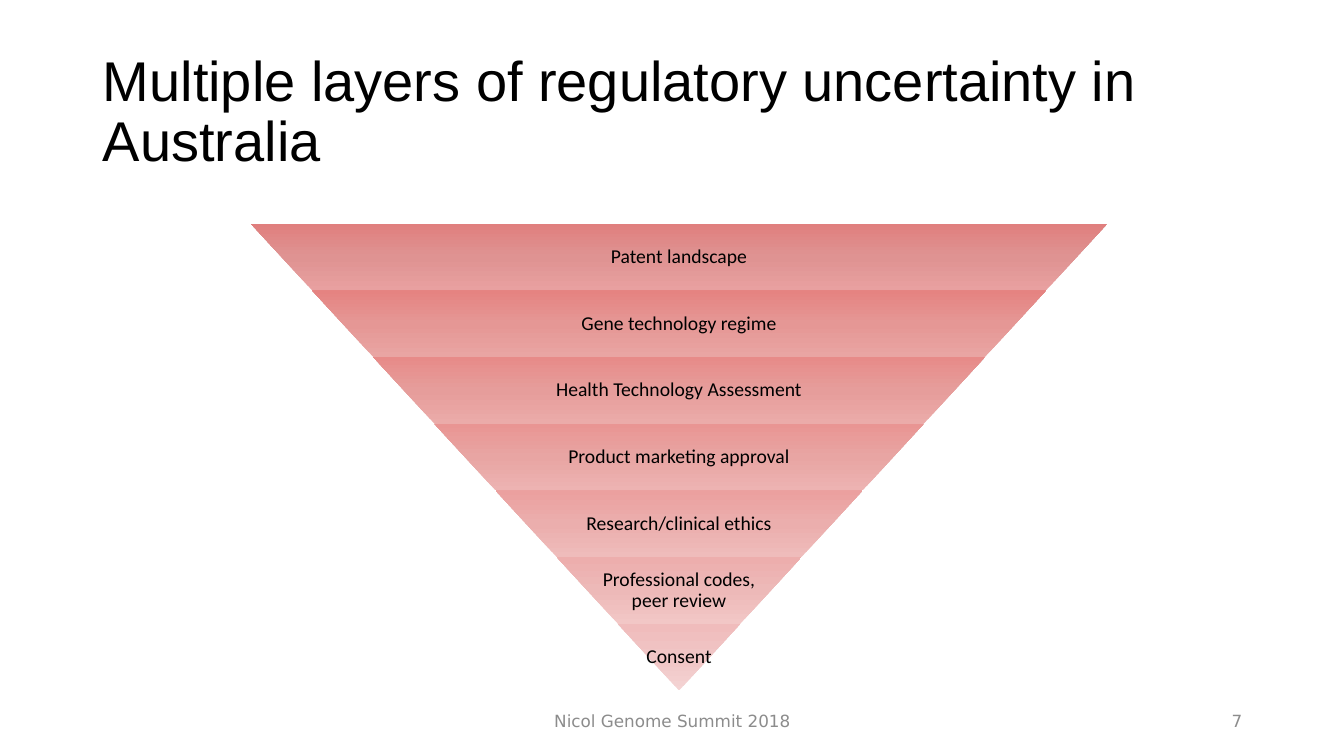
import pptx
import pptx.dml.color
import pptx.enum.shapes
import pptx.enum.text
import pptx.oxml
import pptx.oxml.ns
import pptx.util
from lxml import etree

Inches = pptx.util.Inches
Pt = pptx.util.Pt
Align = pptx.enum.text.PP_ALIGN

# label, then gradient colours from top to bottom
LAYERS = [
    ("Patent landscape", ("E8A0A0", "DF9392", "E07F7E")),
    ("Gene technology regime", ("E9A5A3", "E59795", "E58381")),
    ("Health Technology Assessment", ("EBABA9", "E69D9B", "E78B89")),
    ("Product marketing approval", ("EDB3B2", "E8A5A3", "E99593")),
    ("Research/clinical ethics", ("EFBCBB", "EBAEAD", "EBA09F")),
    ("Professional codes, peer review", ("F2C7C6", "EDB9B8", "EDAEAD")),
    ("Consent", ("F4D3D3", "F0C5C5", "F0BCBC")),
]
FUNNEL_LEFT, FUNNEL_TOP = 2.49, 2.22
FUNNEL_WIDTH, FUNNEL_HEIGHT = 8.49, 4.63


def color(hex_value):
    return pptx.dml.color.RGBColor.from_string(hex_value)


class FunnelSlide:
    label_font, title_font, footer_font = "Calibri", "Arial", "DejaVu Sans"
    ink, muted = "000000", "8C8C8C"

    def __init__(self, deck):
        self.slide = deck.slides.add_slide(deck.slide_layouts[5])
        self.funnel = None

    def add_text(self, frame, text, size, font, ink, align):
        frame.word_wrap = True
        frame.vertical_anchor = pptx.enum.text.MSO_ANCHOR.MIDDLE
        paragraph = frame.paragraphs[0]
        paragraph.alignment = align
        run = paragraph.add_run()
        run.text = text
        run.font.size = Pt(size)
        run.font.name = font
        run.font.color.rgb = color(ink)
        return paragraph

    def title(self, text, left, top, width, height):
        heading = self.slide.shapes.title
        heading.left, heading.top = Inches(left), Inches(top)
        heading.width, heading.height = Inches(width), Inches(height)
        heading.text_frame.auto_size = pptx.enum.text.MSO_AUTO_SIZE.NONE
        self.add_text(heading.text_frame, text, 40, self.title_font,
                      self.ink, Align.LEFT).line_spacing = 0.9

    def footer(self, text, left, width, align):
        box = self.slide.shapes.add_textbox(
            Inches(left), Inches(6.95), Inches(width), Inches(0.4))
        self.add_text(box.text_frame, text, 12, self.footer_font, self.muted, align)

    def start_funnel(self):
        self.funnel = self.slide.shapes.add_group_shape()

    def band(self, left, top, width, height, slope, stops):
        band = self.funnel.shapes.add_shape(
            pptx.enum.shapes.MSO_SHAPE.TRAPEZOID,
            Inches(left), Inches(top), Inches(width), Inches(height))
        band.rotation = 180
        band.adjustments[0] = slope
        band.shadow.inherit = False
        band.line.fill.background()
        self.gradient(band, stops)

    def gradient(self, band, stops):
        """Fill with evenly spaced stops running along the vertical."""
        band.fill.gradient()
        fill = band._element.spPr.find(pptx.oxml.ns.qn("a:gradFill"))
        stop_list = "".join(
            f'<a:gs pos="{100000 * i // (len(stops) - 1)}"><a:srgbClr val="{stop}"/></a:gs>'
            for i, stop in enumerate(stops))
        fill.getparent().replace(fill, pptx.oxml.parse_xml(
            f'<a:gradFill {pptx.oxml.ns.nsdecls("a")} rotWithShape="1">'
            f'<a:gsLst>{stop_list}</a:gsLst>'
            '<a:lin ang="5400000" scaled="0"/></a:gradFill>'))

    def label(self, text, left, top, width, height):
        box = self.funnel.shapes.add_textbox(
            Inches(left), Inches(top), Inches(width), Inches(height))
        frame = box.text_frame
        frame.margin_left = frame.margin_right = Inches(0.02)
        frame.margin_top = frame.margin_bottom = Inches(0.02)
        paragraph = self.add_text(frame, text, 14, self.label_font, self.ink, Align.CENTER)
        paragraph.line_spacing = 0.9
        qn = pptx.oxml.ns.qn
        space_after = etree.SubElement(paragraph._p.pPr, qn("a:spcAft"))
        etree.SubElement(space_after, qn("a:spcPct")).set("val", "35000")


def main():
    deck = pptx.Presentation()
    deck.slide_width, deck.slide_height = Inches(13.33), Inches(7.5)
    page = FunnelSlide(deck)
    page.title("Multiple layers of regulatory uncertainty in Australia",
               0.92, 0.4, 11.5, 1.45)
    page.footer("Nicol Genome Summit 2018", 4.42, 4.5, Align.CENTER)
    page.footer("7", 9.42, 3, Align.RIGHT)

    page.start_funnel()
    height = FUNNEL_HEIGHT / len(LAYERS)
    inset = FUNNEL_WIDTH / len(LAYERS) / 2
    for i, (text, stops) in enumerate(LAYERS):
        left, top = FUNNEL_LEFT + i * inset, FUNNEL_TOP + i * height
        width = FUNNEL_WIDTH - 2 * i * inset
        page.band(left, top, width, height, inset / height, stops)
        is_tip = i == len(LAYERS) - 1
        label_width = width if is_tip else 0.65 * width
        page.label(text, left + (width - label_width) / 2, top, label_width, height)

    deck.save("out.pptx")


if __name__ == "__main__":
    main()
